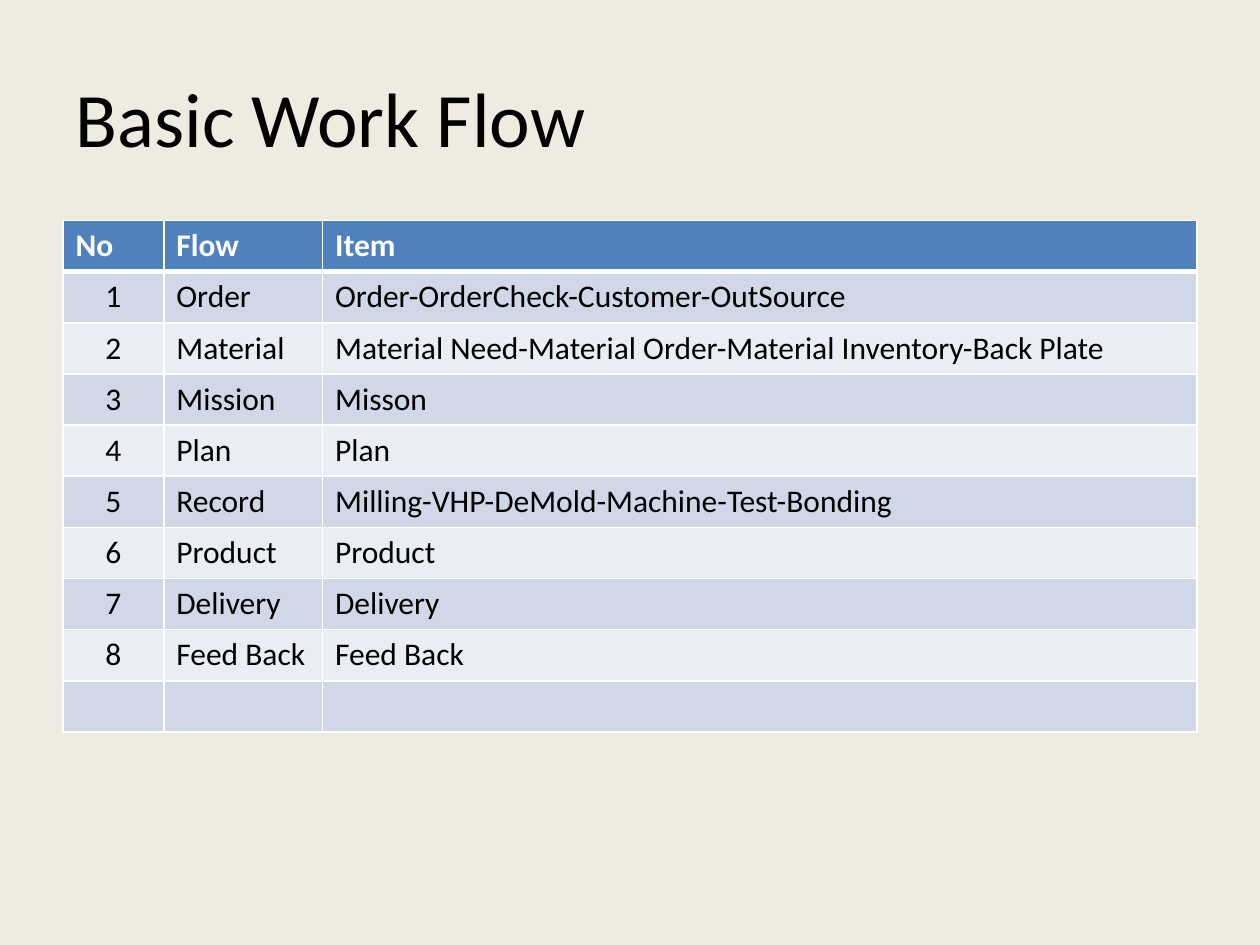
from dataclasses import dataclass

from lxml.etree import SubElement
from pptx import Presentation
from pptx.dml.color import RGBColor
from pptx.enum.text import MSO_ANCHOR, PP_ALIGN
from pptx.oxml.ns import qn
from pptx.util import Inches, Pt


@dataclass(frozen=True)
class Theme:
    font: str = "Calibri"
    background: str = "EEECE1"
    ink: str = "000000"
    header: str = "4F81BD"
    header_ink: str = "FFFFFF"
    bands: tuple = ("D0D8E8", "E9EDF4")
    rule: str = "FFFFFF"
    rule_width: int = 1
    header_rule_width: int = 3
    title_size: int = 44
    table_size: int = 18


THEME = Theme()
HEADINGS = ("No", "Flow", "Item")
STEPS = (
    ("Order", "Order-OrderCheck-Customer-OutSource"),
    ("Material", "Material Need-Material Order-Material Inventory-Back Plate"),
    ("Mission", "Misson"),
    ("Plan", "Plan"),
    ("Record", "Milling-VHP-DeMold-Machine-Test-Bonding"),
    ("Product", "Product"),
    ("Delivery", "Delivery"),
    ("Feed Back", "Feed Back"),
)
COLUMN_WIDTHS = (0.8, 1.26, 6.94)


def write(frame, text, size, color=THEME.ink, bold=False, align=PP_ALIGN.LEFT):
    paragraph = frame.paragraphs[0]
    paragraph.alignment = align
    # The paragraph font also sets the height of an empty cell
    paragraph.font.size = Pt(size)
    if not text:
        return
    run = paragraph.add_run()
    run.text = text
    run.font.name = THEME.font
    run.font.size = Pt(size)
    run.font.bold = bold
    run.font.color.rgb = RGBColor.from_string(color)


def set_borders(cell, top, bottom):
    """Rule all four sides; call before filling, as borders come first."""
    properties = cell._tc.get_or_add_tcPr()
    sides = {"L": THEME.rule_width, "R": THEME.rule_width, "T": top, "B": bottom}
    for side, width in sides.items():
        line = SubElement(properties, qn(f"a:ln{side}"), w=str(Pt(width)))
        fill = SubElement(line, qn("a:solidFill"))
        SubElement(fill, qn("a:srgbClr"), val=THEME.rule)


def add_title(slide, text, left, top, width, height):
    title = slide.shapes.title
    title.left, title.top = Inches(left), Inches(top)
    title.width, title.height = Inches(width), Inches(height)
    title.text_frame.vertical_anchor = MSO_ANCHOR.MIDDLE
    write(title.text_frame, text, THEME.title_size)


def add_flow_table(slide, rows, left, top, width, height):
    table = slide.shapes.add_table(
        len(rows), len(HEADINGS),
        Inches(left), Inches(top), Inches(width), Inches(height),
    ).table
    for column, share in zip(table.columns, COLUMN_WIDTHS):
        column.width = Inches(width * share / sum(COLUMN_WIDTHS))

    for r, row in enumerate(rows):
        is_header = r == 0
        fill = THEME.header if is_header else THEME.bands[(r - 1) % 2]
        top_rule = THEME.header_rule_width if r == 1 else THEME.rule_width
        bottom_rule = THEME.header_rule_width if is_header else THEME.rule_width
        for c, text in enumerate(row):
            cell = table.cell(r, c)
            set_borders(cell, top_rule, bottom_rule)
            cell.fill.solid()
            cell.fill.fore_color.rgb = RGBColor.from_string(fill)
            centred = c == 0 and not is_header
            write(
                cell.text_frame, text, THEME.table_size,
                color=THEME.header_ink if is_header else THEME.ink,
                bold=is_header,
                align=PP_ALIGN.CENTER if centred else PP_ALIGN.LEFT,
            )


def build():
    deck = Presentation()
    deck.slide_width, deck.slide_height = Inches(10), Inches(7.5)
    slide = deck.slides.add_slide(deck.slide_layouts[5])  # Title Only
    slide.background.fill.solid()
    slide.background.fill.fore_color.rgb = RGBColor.from_string(THEME.background)

    # Title
    add_title(slide, "Basic Work Flow", 0.5, 0.3, 9, 1.25)

    # Numbered steps, with a spare last row
    numbered = [(str(n), *step) for n, step in enumerate(STEPS, start=1)]
    rows = [HEADINGS, *numbered, ("", "", "")]
    add_flow_table(slide, rows, 0.5, 1.75, 9, 4.06)

    deck.save("out.pptx")


build()
